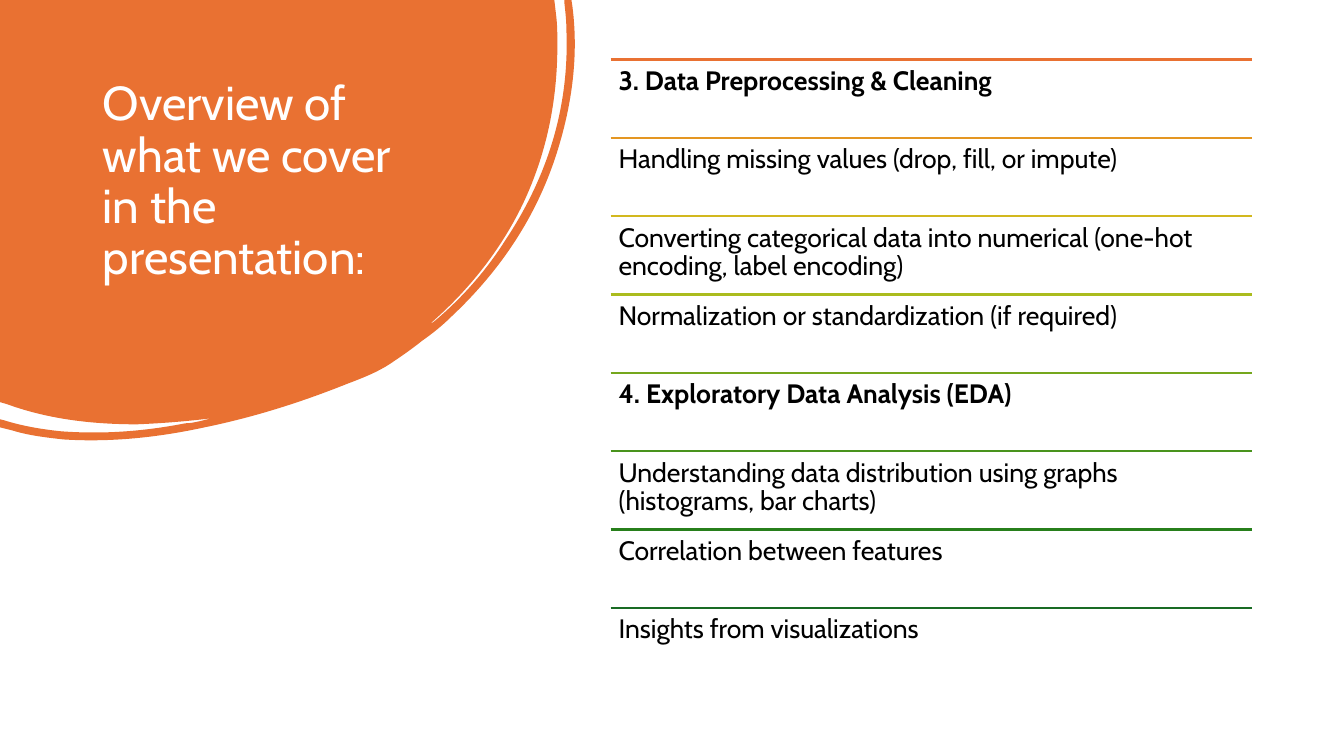
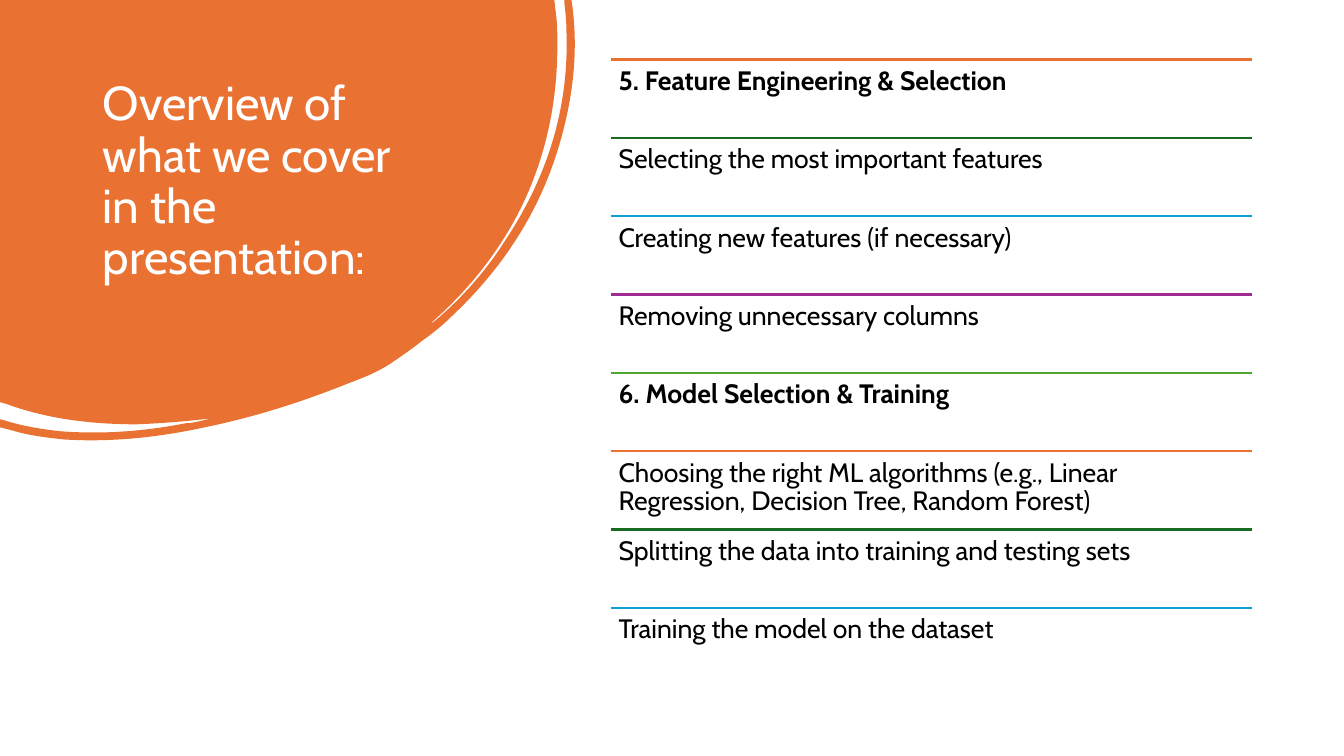
from lxml.etree import SubElement
from pptx import Presentation
from pptx.dml.color import RGBColor
from pptx.enum.shapes import MSO_CONNECTOR
from pptx.enum.text import MSO_ANCHOR, MSO_AUTO_SIZE, PP_ALIGN
from pptx.oxml.ns import qn
from pptx.util import Cm, Pt

COLORS = {
    "orange": "E97132", "amber": "E49622", "gold": "D2B81E", "lime": "ABBC1E",
    "olive": "75A71D", "leaf": "49931D", "forest": "277F1B", "pine": "196B24",
    "blue": "0F9ED5", "purple": "A02B93", "green": "4EA72E",
    "white": "FFFFFF", "black": "000000",
}
FONT = "Cabin"
TITLE = "Overview of what we cover in the \vpresentation:"

BLOB_UNIT = Cm(0.0254)
BLOB_OUTLINE = [
    (550, 0), (552, 17), (553, 26, 553, 36, 553, 45),
    (553, 101, 542, 154, 518, 204), (496, 249, 465, 288, 427, 321),
    (429, 321, 430, 319, 432, 318), (459, 295, 482, 269, 501, 239),
    (543, 176, 565, 107, 562, 30), (562, 21, 561, 12, 560, 3),
    (560, 0), (567, 0), (568, 7), (574, 54, 568, 102, 553, 150),
    (533, 214, 497, 268, 448, 314), (439, 323, 429, 331, 419, 338),
    (409, 346, 399, 353, 387, 361), (375, 369, 360, 375, 344, 381),
    (299, 399, 252, 414, 203, 424), (157, 434, 110, 439, 63, 436),
    (45, 434, 28, 432, 12, 427), (0, 424), (0, 416), (4, 417),
    (23, 423, 42, 426, 61, 428), (103, 431, 143, 428, 184, 420),
    (189, 420, 193, 419, 198, 418), (202, 417, 206, 416, 210, 415),
    (186, 418, 161, 420, 136, 421), (92, 421, 48, 416, 7, 401), (0, 399),
]

LIST_LEFT, LIST_TOP = Cm(15.39), Cm(1.5)
LIST_WIDTH, LIST_HEIGHT = Cm(16.15), Cm(15.79)

SLIDES = [
    [
        ("3. Data Preprocessing & Cleaning", "orange", True),
        ("Handling missing values (drop, fill, or impute)", "amber", False),
        ("Converting categorical data into numerical (one-hot encoding, label encoding)", "gold", False),
        ("Normalization or standardization (if required)", "lime", False),
        ("4. Exploratory Data Analysis (EDA)", "olive", True),
        ("Understanding data distribution using graphs (histograms, bar charts)", "leaf", False),
        ("Correlation between features", "forest", False),
        ("Insights from visualizations", "pine", False),
    ],
    [
        ("5. Feature Engineering & Selection", "orange", True),
        ("Selecting the most important features", "pine", False),
        ("Creating new features (if necessary)", "blue", False),
        ("Removing unnecessary columns", "purple", False),
        ("6. Model Selection & Training", "green", True),
        ("Choosing the right ML algorithms (e.g., Linear Regression, Decision Tree, Random Forest)", "orange", False),
        ("Splitting the data into training and testing sets", "pine", False),
        ("Training the model on the dataset", "blue", False),
    ],
]


def color(name):
    return RGBColor.from_string(COLORS[name])


def style_paragraph(paragraph, size, color_name, bold=False):
    paragraph.alignment = PP_ALIGN.LEFT
    paragraph.line_spacing = 0.9
    paragraph.font.name = FONT
    paragraph.font.size = Pt(size)
    paragraph.font.bold = bold
    paragraph.font.color.rgb = color(color_name)


presentation = Presentation()
presentation.slide_width = Cm(33.87)
presentation.slide_height = Cm(19.05)
title_only = presentation.slide_layouts.get_by_name("Title Only")

for items in SLIDES:
    slide = presentation.slides.add_slide(title_only)

    title = slide.shapes.title
    title.left, title.top, title.width, title.height = Cm(2.34), Cm(1.88), Cm(8.94), Cm(5.64)
    title.text_frame.text = TITLE
    title.text_frame.word_wrap = True
    title.text_frame.auto_size = MSO_AUTO_SIZE.NONE
    title.text_frame.vertical_anchor = MSO_ANCHOR.TOP
    style_paragraph(title.text_frame.paragraphs[0], 34, "white")

    builder = slide.shapes.build_freeform(0, 0, scale=float(BLOB_UNIT))
    builder.add_line_segments([segment[-2:] for segment in BLOB_OUTLINE], close=True)
    blob = builder.convert_to_shape()
    blob.shadow.inherit = False
    blob.fill.solid()
    blob.fill.fore_color.rgb = color("orange")
    blob.line.fill.background()
    for line, segment in zip(list(blob.element.iter(qn("a:lnTo"))), BLOB_OUTLINE):
        if len(segment) == 6:
            line.tag = qn("a:cubicBezTo")
            for index, (x, y) in enumerate([segment[:2], segment[2:4]]):
                point = SubElement(line, qn("a:pt"), x=str(x), y=str(y))
                line.insert(index, point)
    title.element.addprevious(blob.element)

    topics = slide.shapes.add_group_shape()
    row_height = LIST_HEIGHT // len(items)
    for row, (text, line_color, is_heading) in enumerate(items):
        top = LIST_TOP + row * row_height
        rule = topics.shapes.add_connector(
            MSO_CONNECTOR.STRAIGHT, LIST_LEFT, top, LIST_LEFT + LIST_WIDTH, top)
        rule.line.color.rgb = color(line_color)
        rule.line.width = Pt(1.5)
        SubElement(rule.element.spPr, qn("a:effectLst"))

        box = topics.shapes.add_textbox(LIST_LEFT, top, LIST_WIDTH, row_height)
        frame = box.text_frame
        frame.word_wrap = True
        frame.margin_left = frame.margin_right = Cm(0.2)
        frame.margin_top = frame.margin_bottom = Cm(0.2)
        frame.text = text
        style_paragraph(frame.paragraphs[0], 19, "black", is_heading)

presentation.save("out.pptx")
